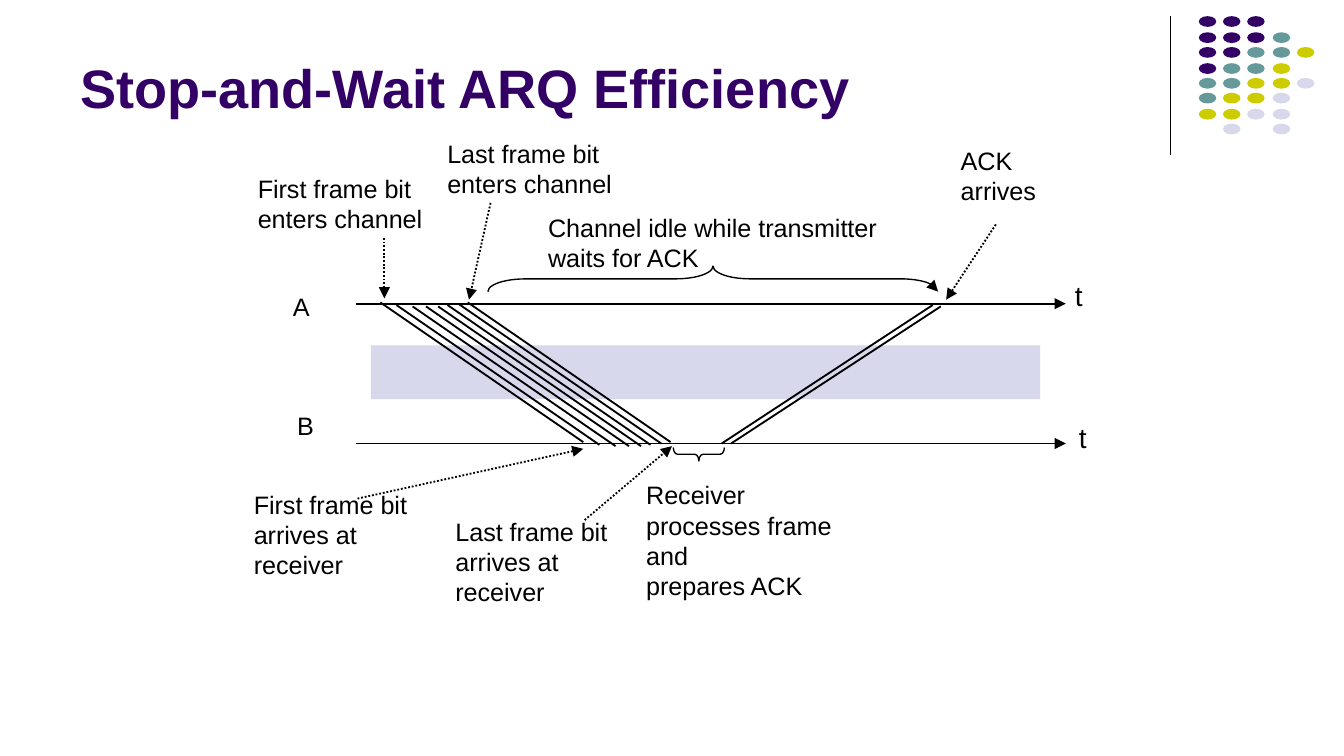
from typing import NamedTuple

from lxml import etree
from pptx import Presentation
from pptx.dml.color import RGBColor
from pptx.enum import dml, shapes, text
from pptx.oxml import ns
from pptx.shapes.autoshape import Shape
from pptx.slide import Slide
from pptx.util import Pt

PX = 9144  # EMU per px, 100 px to the inch
SLIDE_WIDTH = 1000 * PX
SLIDE_HEIGHT = SLIDE_WIDTH * 9 // 16
FONT = "Arial"
BLACK = RGBColor(0x00, 0x00, 0x00)
PURPLE = RGBColor(0x33, 0x00, 0x66)
TEAL = RGBColor(0x66, 0x99, 0x99)
OLIVE = RGBColor(0xCC, 0xCC, 0x00)
LILAC = RGBColor(0xD8, 0xD8, 0xEC)

DOT_COLORS = {"P": PURPLE, "T": TEAL, "O": OLIVE, "L": LILAC}
DOT_ROWS = ["PPP", "PPPT", "PPTTO", "PTTO", "TTOOL", "TOOL", "OOLL", " L L"]


class Label(NamedTuple):
    left: int
    top: int
    width: int
    height: int
    words: str
    size: float = 13.5
    color: RGBColor = BLACK
    bold: bool = False
    anchor: text.MSO_ANCHOR = text.MSO_ANCHOR.TOP
    wrap: bool = True
    inset: tuple[int, int] = (10, 5)


class Line(NamedTuple):
    x1: int
    y1: int
    x2: int
    y2: int
    width: float = 1
    arrow: bool = False
    dotted: bool = False


class Brace(NamedTuple):
    left: int
    top: int
    width: int
    height: int
    rotation: int
    curve: float
    arrow: bool = False


TITLE = Label(50, 10, 825, 84, "Stop-and-Wait ARQ Efficiency", 29, PURPLE, True,
              text.MSO_ANCHOR.BOTTOM)
LABELS = [
    Label(211, 213, 28, 30, "A", wrap=False, inset=(7, 4)),
    Label(214, 301, 28, 30, "B", wrap=False, inset=(7, 4)),
    Label(182, 124, 154, 56, "First frame bit enters channel"),
    Label(323, 98, 175, 56, "Last frame bit enters channel"),
    Label(398, 153, 284, 56, "Channel idle while transmitter waits for ACK"),
    Label(329, 379, 141, 78, "Last frame bit arrives at receiver"),
    Label(471, 352, 166, 101, "Receiver processes frame and\nprepares ACK"),
    Label(705, 103, 109, 56, "ACK arrives"),
    Label(179, 359, 140, 78, "First frame bit arrives at receiver"),
    Label(790, 202, 26, 35, "t", 15, wrap=False),
    Label(793, 308, 26, 35, "t", 15, wrap=False),
]

DIVIDER = Line(871, 12, 871, 115, 0.75)
TIME_AXES = [Line(265, y, 793, y, arrow=True) for y in (226, 330)]
FRAME_STARTS = [(283, 225), (295, 227), (307, 228), (317, 228),
                (326, 228), (333, 227), (341, 226), (348, 225)]
FRAME_BITS = [Line(x, y, x + 151, y + 104) for x, y in FRAME_STARTS]
ACK_BITS = [Line(537, 330, 694, 227), Line(544, 330, 700, 228)]
POINTERS = [
    Line(286, 177, 286, 222, arrow=True, dotted=True),
    Line(365, 151, 349, 223, arrow=True, dotted=True),
    Line(435, 387, 500, 332, arrow=True, dotted=True),
    Line(741, 167, 704, 223, arrow=True, dotted=True),
    Line(266, 371, 434, 334, arrow=True, dotted=True),
]
BRACES = [
    Brace(521, 40, 19, 335, 90, 1.46, arrow=True),
    Brace(515, 319, 10, 38, 270, 0.31),
]


def add_arrowhead(line_format) -> None:
    outline = line_format._get_or_add_ln()
    etree.SubElement(outline, ns.qn("a:tailEnd"), type="triangle")


def add_filled(page: Slide, kind: shapes.MSO_SHAPE, left: int, top: int,
               width: int, height: int, color: RGBColor) -> Shape:
    shape = page.shapes.add_shape(kind, left * PX, top * PX, width * PX, height * PX)
    shape.shadow.inherit = False
    shape.fill.solid()
    shape.fill.fore_color.rgb = color
    shape.line.fill.background()
    return shape


def add_dots(page: Slide) -> None:
    for row, codes in enumerate(DOT_ROWS):
        for column, code in enumerate(codes):
            if code in DOT_COLORS:
                add_filled(page, shapes.MSO_SHAPE.OVAL, round(892 + 18.2 * column),
                           round(12.4 + 11.4 * row), 13, 8, DOT_COLORS[code])


def add_line(page: Slide, line: Line) -> None:
    connector = page.shapes.add_connector(
        shapes.MSO_CONNECTOR.STRAIGHT,
        line.x1 * PX, line.y1 * PX, line.x2 * PX, line.y2 * PX)
    connector.line.color.rgb = BLACK
    connector.line.width = Pt(line.width)
    if line.dotted:
        connector.line.dash_style = dml.MSO_LINE.ROUND_DOT
    if line.arrow:
        add_arrowhead(connector.line)
    etree.SubElement(connector._element.spPr, ns.qn("a:effectLst"))


def add_brace(page: Slide, brace: Brace) -> None:
    shape = page.shapes.add_shape(
        shapes.MSO_SHAPE.LEFT_BRACE, brace.left * PX, brace.top * PX,
        brace.width * PX, brace.height * PX)
    shape.shadow.inherit = False
    shape.rotation = brace.rotation
    shape.adjustments[0] = brace.curve
    shape.fill.background()
    shape.line.color.rgb = BLACK
    shape.line.width = Pt(0.75)
    if brace.arrow:
        add_arrowhead(shape.line)


def add_label(page: Slide, label: Label) -> None:
    box = page.shapes.add_textbox(label.left * PX, label.top * PX,
                                  label.width * PX, label.height * PX)
    frame = box.text_frame
    frame.word_wrap = label.wrap
    frame.vertical_anchor = label.anchor
    frame.margin_left = frame.margin_right = label.inset[0] * PX
    frame.margin_top = frame.margin_bottom = label.inset[1] * PX
    frame.text = label.words
    for para in frame.paragraphs:
        for span in para.runs:
            span.font.name = FONT
            span.font.size = Pt(label.size)
            span.font.bold = label.bold
            span.font.color.rgb = label.color


def main() -> None:
    deck = Presentation()
    deck.slide_width, deck.slide_height = SLIDE_WIDTH, SLIDE_HEIGHT
    page = deck.slides.add_slide(deck.slide_layouts[6])

    add_line(page, DIVIDER)
    add_dots(page)
    add_label(page, TITLE)
    add_filled(page, shapes.MSO_SHAPE.RECTANGLE, 276, 257, 498, 40, LILAC)
    for line in TIME_AXES + FRAME_BITS + ACK_BITS + POINTERS:
        add_line(page, line)
    for brace in BRACES:
        add_brace(page, brace)
    for label in LABELS:
        add_label(page, label)

    deck.save("out.pptx")


if __name__ == "__main__":
    main()
